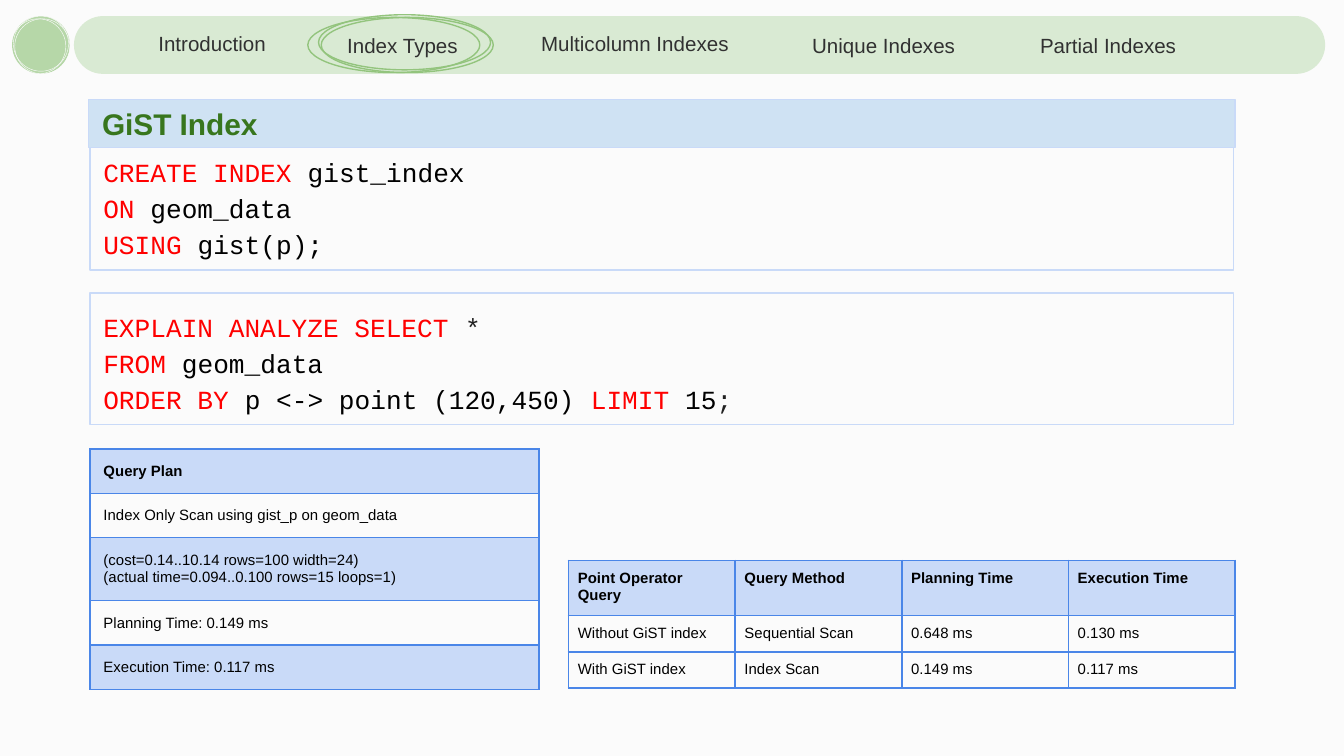
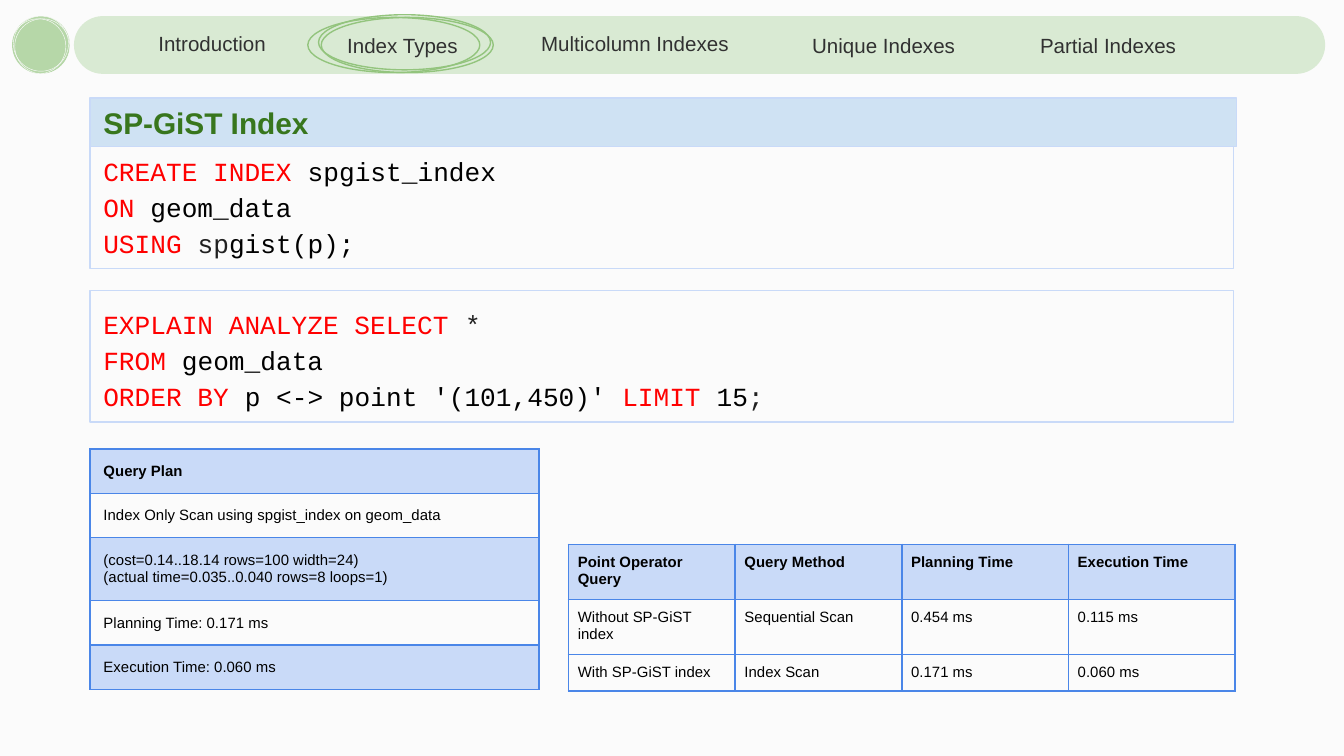
from dataclasses import dataclass

import pptx
import pptx.util
from lxml import etree
from pptx.dml.color import RGBColor
from pptx.enum.shapes import MSO_SHAPE
from pptx.enum.text import MSO_ANCHOR, MSO_AUTO_SIZE, PP_ALIGN
from pptx.oxml.ns import qn

PX = 9144  # EMU per px, 100 px to the inch


@dataclass(frozen=True)
class Theme:
    paper: str = "FBFBFB"
    band: str = "D9EAD3"
    dot: str = "B6D7A8"
    ring: str = "93C47D"
    nav: str = "313131"
    title: str = "38761D"
    title_fill: str = "CFE2F3"
    pale_blue: str = "C9DAF8"
    grid: str = "4A86E8"
    keyword: str = "FF0000"
    ink: str = "000000"
    soft_ink: str = "212121"
    sans: str = "Arial"
    mono: str = "Courier New"
    title_size: int = 16
    code_size: int = 14
    nav_size: int = 11
    table_size: int = 8


THEME = Theme()

# Navigation labels: text, left, top, width, alignment
SECTIONS = [
    ("Introduction", 108, 22, 159, PP_ALIGN.LEFT),
    ("Index Types", 235, 23, 129, PP_ALIGN.CENTER),
    ("Multicolumn Indexes", 384, 22, 177, PP_ALIGN.CENTER),
    ("Unique Indexes", 578, 23, 159, PP_ALIGN.CENTER),
    ("Partial Indexes", 745, 23, 159, PP_ALIGN.CENTER),
]
DOT_RINGS = [(10, 12), (8, 14), (11, 14)]
ACTIVE_RINGS = [(237, 11), (229, 13), (239, 13)]
PLAN_ROWS = [33, 33, 47, 33, 33]
COMPARISON_HEAD = ["Point Operator Query", "Query Method", "Planning Time", "Execution Time"]


def px(*lengths):
    return [pptx.util.Emu(length * PX) for length in lengths]


def rgb(color):
    return RGBColor.from_string(color)


def kw(text):
    return text, THEME.keyword


def soft(text):
    return text, THEME.soft_ink


def write(holder, paragraphs, *, size, font=THEME.sans, color=THEME.ink, bold=False,
          align=PP_ALIGN.LEFT, anchor=MSO_ANCHOR.MIDDLE, insets=(10, 10, 10, 10),
          spacing=None):
    """Fill a text frame or table cell; a run is a string or a (string, colour) pair."""
    holder.vertical_anchor = anchor
    (holder.margin_left, holder.margin_top,
     holder.margin_right, holder.margin_bottom) = px(*insets)
    frame = getattr(holder, "text_frame", holder)
    for index, runs in enumerate(paragraphs):
        paragraph = frame.paragraphs[0] if index == 0 else frame.add_paragraph()
        paragraph.alignment = align
        if spacing:
            paragraph.line_spacing = spacing
        for part in runs:
            text, tint = part if isinstance(part, tuple) else (part, color)
            run = paragraph.add_run()
            run.text = text
            run.font.name = font
            run.font.size = pptx.util.Pt(size)
            run.font.bold = bold
            run.font.color.rgb = rgb(tint)


def paint(shape, fill=None, line=None, width=0.75):
    if fill:
        shape.fill.solid()
        shape.fill.fore_color.rgb = rgb(fill)
    else:
        shape.fill.background()
    if line:
        shape.line.color.rgb = rgb(line)
        shape.line.width = pptx.util.Pt(width)
    else:
        shape.line.fill.background()


def add_panel(shapes, preset, box, **look):
    panel = shapes.add_shape(preset, *px(*box))
    panel.shadow.inherit = False
    paint(panel, **look)
    return panel


def prepare_frame(shape):
    frame = shape.text_frame
    frame.word_wrap = True
    frame.auto_size = MSO_AUTO_SIZE.NONE
    return frame


def add_dot(slide):
    dot = slide.shapes.add_group_shape().shapes
    add_panel(dot, MSO_SHAPE.OVAL, (9, 12, 43, 43), fill=THEME.dot)
    for left, top in DOT_RINGS:
        add_panel(dot, MSO_SHAPE.OVAL, (left, top, 41, 41), line=THEME.paper, width=0.23)


def add_navigation(slide):
    band = add_panel(slide.shapes, MSO_SHAPE.ROUNDED_RECTANGLE, (55, 12, 931, 43),
                     fill=THEME.band)
    band.adjustments[0] = 0.5
    for section, left, top, width, align in SECTIONS:
        label = slide.shapes.add_textbox(*px(left, top, width, 21))
        write(prepare_frame(label), [[section]], size=THEME.nav_size,
              color=THEME.nav, align=align)
    active = slide.shapes.add_group_shape().shapes
    for left, top in ACTIVE_RINGS:
        add_panel(active, MSO_SHAPE.OVAL, (left, top, 128, 41), line=THEME.ring)


def add_code(slide, top, lines):
    code = add_panel(slide.shapes, MSO_SHAPE.RECTANGLE, (67, top, 851, 98),
                     line=THEME.pale_blue)
    write(prepare_frame(code), lines, size=THEME.code_size, font=THEME.mono,
          align=PP_ALIGN.JUSTIFY, anchor=MSO_ANCHOR.TOP, spacing=1.15)


def set_title(slide, text, left, top):
    title = slide.shapes.title
    title.left, title.top, title.width, title.height = px(left, top, 853, 36)
    paint(title, fill=THEME.title_fill, line=THEME.pale_blue)
    write(prepare_frame(title), [[text]], size=THEME.title_size, color=THEME.title,
          bold=True, insets=(10, 10, 0, 10))
    slide.shapes.element.append(title.element)  # above the code panel's top edge


def outline_cell(cell, width):
    properties = cell._tc.get_or_add_tcPr()
    for index, side in enumerate(("a:lnL", "a:lnR", "a:lnT", "a:lnB")):
        edge = etree.Element(qn(side), w=str(pptx.util.Pt(width)))
        fill = etree.SubElement(edge, qn("a:solidFill"))
        etree.SubElement(fill, qn("a:srgbClr"), val=THEME.grid)
        properties.insert(index, edge)


def add_grid(slide, left, top, columns, heights, rows, shaded, border, **text_format):
    """Draw a table; a cell is a list of lines, and shaded holds the tinted row numbers."""
    table = slide.shapes.add_table(
        len(rows), len(columns), *px(left, top, sum(columns), sum(heights))).table
    table.first_row = table.horz_banding = False
    for column, width in zip(table.columns, px(*columns)):
        column.width = width
    for row, height in zip(table.rows, px(*heights)):
        row.height = height
    for r, row in enumerate(rows):
        for c, lines in enumerate(row):
            cell = table.cell(r, c)
            if r in shaded:
                cell.fill.solid()
                cell.fill.fore_color.rgb = rgb(THEME.pale_blue)
            else:
                cell.fill.background()
            outline_cell(cell, border)
            write(cell, [[line] for line in lines], size=THEME.table_size,
                  bold=r == 0, **text_format)


def add_plan(slide, scan, cost, actual, planning, execution):
    rows = [["Query Plan"], [f"Index Only Scan using {scan} on geom_data"],
            [f"(cost={cost} rows=100 width=24)", f"(actual time={actual} loops=1)"],
            [f"Planning Time: {planning}"], [f"Execution Time: {execution}"]]
    add_grid(slide, 67, 334, [334], PLAN_ROWS, [[lines] for lines in rows],
             shaded=(0, 2, 4), border=0.75)


def add_comparison(slide, top, heights, kind, before, after):
    rows = [COMPARISON_HEAD,
            [f"Without {kind} index", "Sequential Scan", *before],
            [f"With {kind} index", "Index Scan", *after]]
    add_grid(slide, 423, top, [124] * 4, heights, [[[text] for text in row] for row in rows],
             shaded=(0,), border=1, anchor=MSO_ANCHOR.TOP, insets=(7, 7, 7, 7))


def add_index_slide(deck, kind, title_at, code_tops, name, using, point,
                    plan, comparison_top, comparison_heights, before, after):
    slide = deck.slides.add_slide(deck.slide_layouts.get_by_name("Title Only"))
    add_dot(slide)
    add_code(slide, code_tops[0], [
        [kw("CREATE INDEX"), f" {name}"],
        [kw("ON"), " geom_data"],
        [kw("USING "), *using],
    ])
    add_code(slide, code_tops[1], [
        [kw("EXPLAIN ANALYZE SELECT "), soft("*")],
        [kw("FROM "), "geom_data"],
        [kw("ORDER BY "), f"p <-> point {point} ", kw("LIMIT"), " 15", soft(";")],
    ])
    add_plan(slide, *plan, after[0], after[1])
    set_title(slide, f"{kind} Index", *title_at)
    add_comparison(slide, comparison_top, comparison_heights, kind, before, after)
    add_navigation(slide)


def main():
    deck = pptx.Presentation()
    deck.slide_width, = px(1000)
    deck.slide_height = deck.slide_width * 9 // 16
    background = deck.slide_master.background.fill
    background.solid()
    background.fore_color.rgb = rgb(THEME.paper)

    # GiST
    add_index_slide(
        deck, "GiST", title_at=(66, 74), code_tops=(103, 218),
        name="gist_index", using=["gist(p);"], point="(120,450)",
        plan=("gist_p", "0.14..10.14", "0.094..0.100 rows=15"),
        comparison_top=417, comparison_heights=[41, 27, 27],
        before=("0.648 ms", "0.130 ms"), after=("0.149 ms", "0.117 ms"))

    # SP-GiST
    add_index_slide(
        deck, "SP-GiST", title_at=(67, 73), code_tops=(102, 216),
        name="spgist_index", using=[soft("sp"), "gist(p);"], point="'(101,450)'",
        plan=("spgist_index", "0.14..18.14", "0.035..0.040 rows=8"),
        comparison_top=405, comparison_heights=[41, 41, 27],
        before=("0.454 ms", "0.115 ms"), after=("0.171 ms", "0.060 ms"))

    deck.save("out.pptx")


if __name__ == "__main__":
    main()
